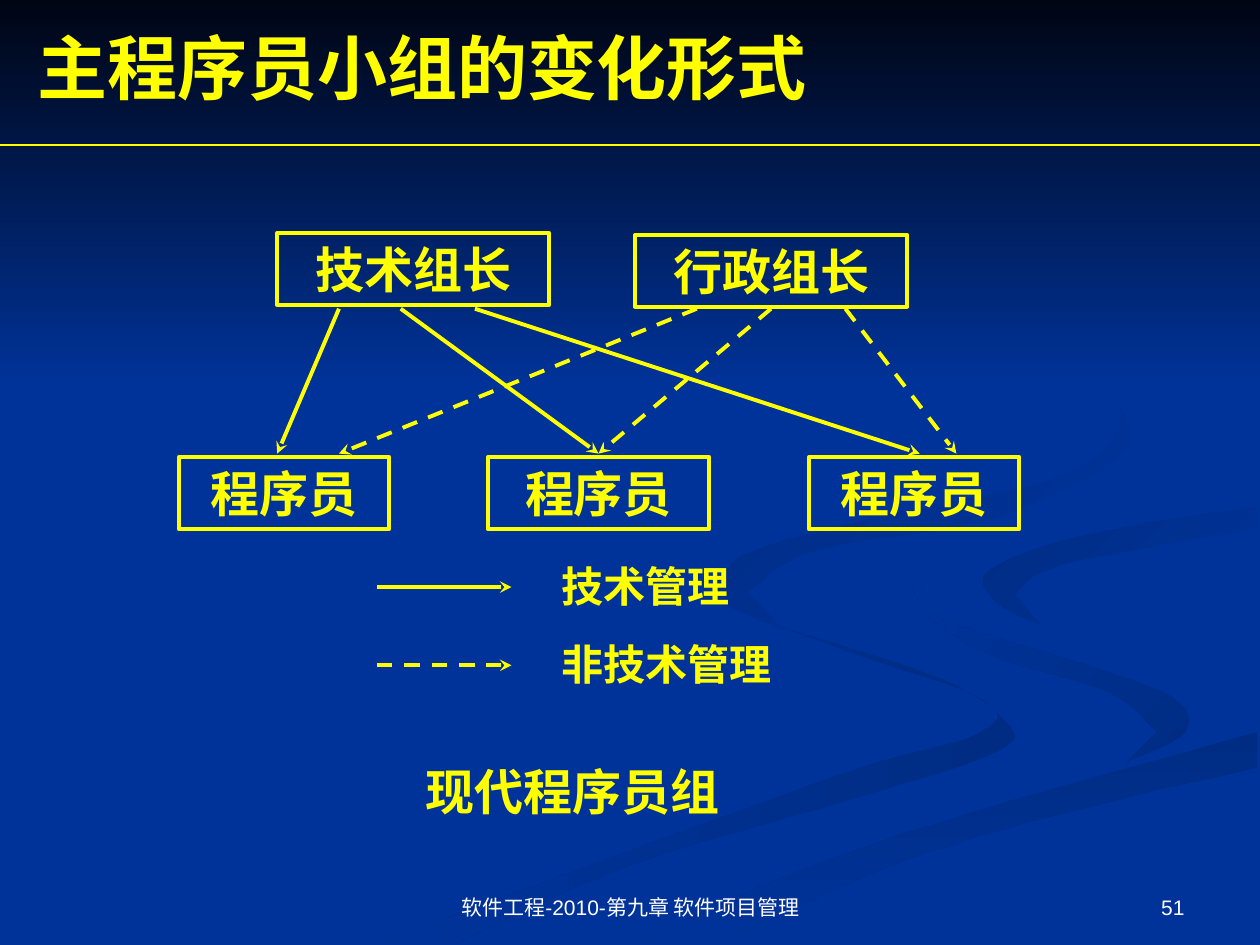
from lxml.etree import SubElement
from pptx import Presentation
from pptx.dml.color import RGBColor
from pptx.enum.dml import MSO_LINE
from pptx.enum.shapes import MSO_CONNECTOR, MSO_SHAPE
from pptx.enum.text import MSO_ANCHOR, PP_ALIGN
from pptx.oxml.ns import qn
from pptx.util import Pt

BLUE = RGBColor(0x00, 0x33, 0x99)
NIGHT = RGBColor(0x00, 0x05, 0x14)
SHADE = RGBColor(0x00, 0x2C, 0x84)
YELLOW = RGBColor(0xFF, 0xFF, 0x00)
WHITE = RGBColor(0xFF, 0xFF, 0xFF)

presentation = Presentation()
presentation.slide_width, presentation.slide_height = Pt(720), Pt(540)
slide = presentation.slides.add_slide(presentation.slide_layouts[6])
slide.background.fill.solid()
slide.background.fill.fore_color.rgb = BLUE


def paint(shape, start, end, angle):
    """Fill a background shape with a two-colour gradient and no outline."""
    shape.shadow.inherit = False
    shape.line.fill.background()
    shape.fill.gradient()
    shape.fill.gradient_angle = angle
    for stop, color, position in zip(shape.fill.gradient_stops, (start, end), (0, 1)):
        stop.color.rgb, stop.position = color, position


def write(shape, text, size, font_name="Times New Roman", color=YELLOW, bold=True,
          align=PP_ALIGN.LEFT, anchor=MSO_ANCHOR.MIDDLE):
    frame = shape.text_frame
    frame.word_wrap, frame.vertical_anchor = True, anchor
    frame.margin_left = frame.margin_right = Pt(7.2)
    frame.margin_top = frame.margin_bottom = Pt(3.6)
    paragraph = frame.paragraphs[0]
    paragraph.alignment = align
    run = paragraph.add_run()
    run.text = text
    for name, value in {"size": Pt(size), "name": font_name, "bold": bold}.items():
        setattr(run.font, name, value)
    run.font.color.rgb = color


# Background ribbons: colours, angle and the two edges, in hundredths of an inch
ribbons = [
    (SHADE, BLUE, 180,
     [(575, 459), (576, 480), (679, 519), (781, 556), (774, 583), (652, 620), (300, 749)],
     [(361, 749), (499, 687), (676, 634), (791, 597), (799, 573), (745, 538), (614, 496)]),
    (SHADE, BLUE, 135,
     [(724, 464), (745, 490), (850, 524), (930, 553), (941, 581), (894, 605)],
     [(918, 581), (880, 549), (781, 518), (730, 483)]),
    (SHADE, BLUE, 270,
     [(503, 749), (630, 693), (765, 647), (998, 581)],
     [(998, 609), (821, 651), (695, 692), (571, 749)]),
    (BLUE, SHADE, 135,
     [(998, 402), (865, 424), (785, 453), (791, 478), (826, 496)],
     [(805, 472), (843, 448), (998, 420)]),
    (BLUE, SHADE, 135,
     [(762, 233), (862, 292), (889, 335), (842, 378), (704, 409), (589, 441), (580, 474),
      (622, 500)],
     [(593, 470), (649, 436), (786, 412), (889, 362), (890, 324), (862, 291)]),
]
STEPS = 6
for start, end, angle, *edges in ribbons:
    outline = []
    for edge in edges:
        padded = [edge[0], *edge, edge[-1]]
        for a, b, c, d in zip(padded, padded[1:], padded[2:], padded[3:]):
            for step in range(STEPS):
                t = step / STEPS
                outline.append([
                    b[k] + (c[k] - a[k]) * t / 2
                    + (2 * a[k] - 5 * b[k] + 4 * c[k] - d[k]) * t ** 2 / 2
                    + (3 * b[k] - a[k] - 3 * c[k] + d[k]) * t ** 3 / 2
                    for k in range(2)])
        outline.append(edge[-1])
    builder = slide.shapes.build_freeform(*outline[0], scale=Pt(0.72))
    builder.add_line_segments(outline[1:], close=True)
    paint(builder.convert_to_shape(), start, end, angle)

# Dark fade across the top
fade = slide.shapes.add_shape(MSO_SHAPE.RECTANGLE, Pt(0), Pt(0), Pt(720), Pt(221.76))
paint(fade, NIGHT, BLUE, 270)

# Team boxes: text, left, top, width
boxes = [
    ("技术组长", 158.4, 133.2, 155.52), ("行政组长", 362.88, 134.2, 155.52),
    ("程序员", 102.24, 261.36, 120.24), ("程序员", 278.64, 261.36, 126.72),
    ("程序员", 462.24, 261.36, 120.24),
]
for text, left, top, width in boxes:
    box = slide.shapes.add_shape(MSO_SHAPE.RECTANGLE, Pt(left), Pt(top), Pt(width), Pt(41.04))
    box.shadow.inherit = False
    box.fill.background()
    box.line.color.rgb, box.line.width = YELLOW, Pt(2.24)
    write(box, text, 28, align=PP_ALIGN.CENTER)

# Title rule, management arrows and legend arrows: start, end, width, dashed, arrowhead
TOP, BOTTOM = 176.4, 259.2
lines = [((0, 82.8), (720, 82.8), 0.74, False, False)]
for start_x, end_x, dashed in [(229, 342, False), (193.7, 158.4, False), (271.4, 525.6, False),
                               (440.6, 342, True), (483.1, 546.5, True), (398.2, 193.7, True)]:
    lines.append(((start_x, TOP), (end_x, BOTTOM), 2.24, dashed, True))
for y, dashed in [(335.5, False), (380.2, True)]:
    lines.append(((215.3, y), (292.3, y), 2.24, dashed, True))
for start, end, width, dashed, arrow in lines:
    connector = slide.shapes.add_connector(
        MSO_CONNECTOR.STRAIGHT, *(Pt(value) for value in start + end))
    connector.line.color.rgb, connector.line.width = YELLOW, Pt(width)
    if dashed:
        connector.line.dash_style = MSO_LINE.DASH
    properties = connector._element.spPr
    if arrow:
        SubElement(properties.find(qn("a:ln")), qn("a:tailEnd"), type="stealth")
    SubElement(properties, qn("a:effectLst"))

# Title, legend, caption and footer: text, left, top, width, height, size, other formats
footer = {"font_name": "Arial", "color": WHITE, "bold": False, "anchor": MSO_ANCHOR.BOTTOM}
labels = [
    ("主程序员小组的变化形式", 14.4, 10.08, 648, 55.44, 40, {}),
    ("技术管理", 313.92, 316.8, 141.12, 36, 24, {}),
    ("非技术管理", 313.92, 361.44, 162, 36, 24, {}),
    ("现代程序员组", 236.16, 431.28, 239.76, 41.04, 28, {"font_name": "Arial Narrow"}),
    ("软件工程-2010-第九章 软件项目管理", 246.24, 491.76, 228.24, 37.44, 12,
     {**footer, "align": PP_ALIGN.CENTER}),
    ("51", 516.24, 491.76, 167.76, 37.44, 12, {**footer, "align": PP_ALIGN.RIGHT}),
]
for text, left, top, width, height, size, formats in labels:
    label = slide.shapes.add_textbox(Pt(left), Pt(top), Pt(width), Pt(height))
    write(label, text, size, **formats)

presentation.save("out.pptx")
